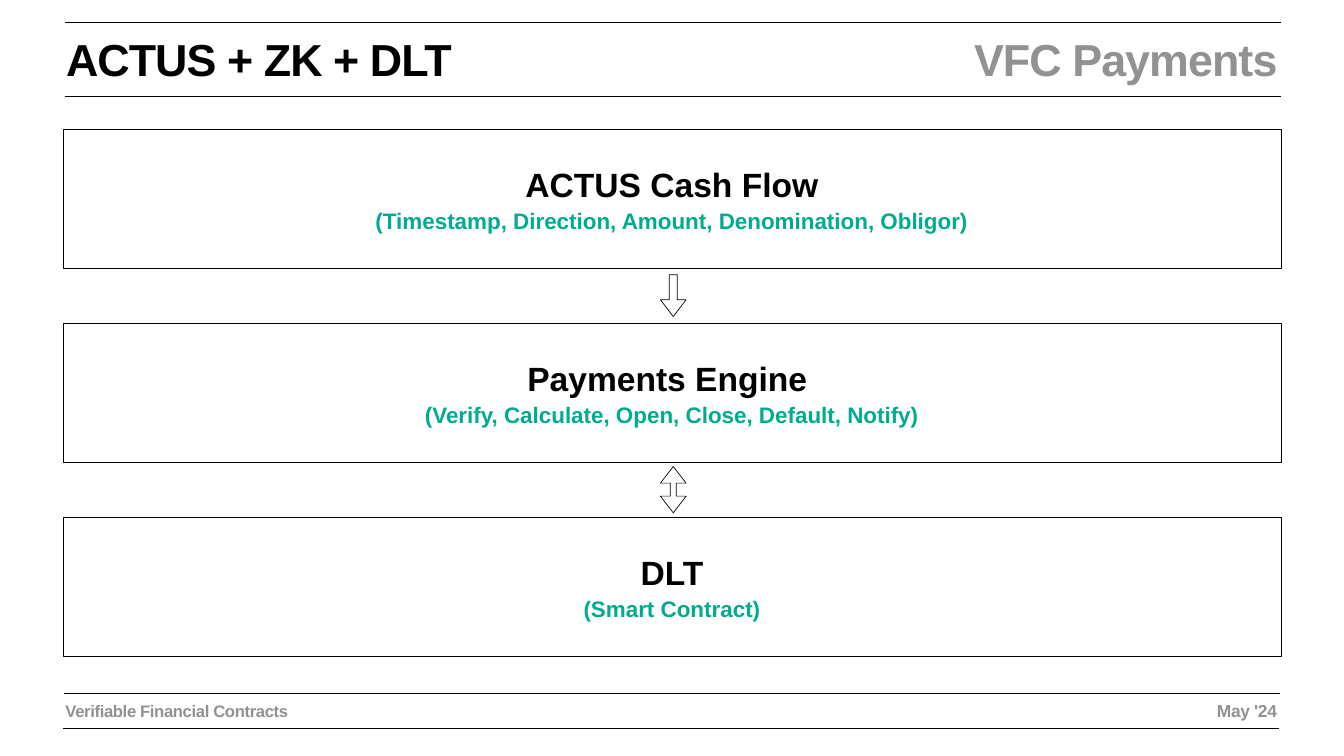
"""Build the VFC Payments slide: three stacked layers joined by arrows."""
from lxml.etree import SubElement
from pptx import Presentation
from pptx.dml.color import RGBColor
from pptx.enum.shapes import MSO_CONNECTOR as Connector, MSO_SHAPE as Shape
from pptx.enum.text import MSO_ANCHOR as Anchor, MSO_AUTO_SIZE as AutoSize, PP_ALIGN as Align
from pptx.oxml.ns import qn
from pptx.util import Emu, Pt

PX = 9144
SLIDE = (2667, 1500)
THEME = {
    "font": "Arial", "ink": "000000", "muted": "929292", "accent": "00AB8E", "paper": "FFFFFF",
    "title": 64, "layer": 48, "detail": 32, "footer": 23.8, "date": 24.8,
    "rule": 1, "gap": 4, "inset": 6, "title_spacing": -130, "footer_spacing": -50,
}

TITLE = ("ACTUS + ZK + DLT", (125, 57, 1104, 122), Align.LEFT, "title", "ink", "title_spacing")
LABELS = [
    ("VFC Payments", (874, 57, 1667, 122), Align.RIGHT, "title", "muted", "title_spacing"),
    ("Verifiable Financial Contracts", (124, 1384, 1104, 52), Align.LEFT, "footer", "muted", "footer_spacing"),
    ("May '24", (1367, 1384, 1173, 53), Align.RIGHT, "date", "muted", "footer_spacing"),
]
RULES = [(129, 45), (129, 192), (128, 1375), (126, 1446)]
RULE_LENGTH = 2413
LAYERS = [
    ("ACTUS Cash Flow", "(Timestamp, Direction, Amount, Denomination, Obligor)"),
    ("Payments Engine ", "(Verify, Calculate, Open, Close, Default, Notify)"),
    ("DLT", "(Smart Contract)"),
]
LAYER_LEFT, LAYER_TOP, LAYER_WIDTH, LAYER_HEIGHT, LAYER_PITCH = 125, 256, 2417, 276, 385
ARROWS = [
    (Shape.RIGHT_ARROW, 83, (0.31, 0.65)),
    (Shape.LEFT_RIGHT_ARROW, 92, (0.23, 0.65)),
]
ARROW_THICKNESS, ARROW_CENTRE = 51, 1336


def px(*lengths):
    return [Emu(round(length * PX)) for length in lengths]


def colour(role):
    return RGBColor.from_string(THEME[role])


def apply(target, formats):
    for name, value in formats.items():
        setattr(target, name, value)


def format_frame(frame, anchor):
    inset = px(THEME["inset"])[0]
    apply(frame, {
        "word_wrap": True, "auto_size": AutoSize.NONE, "vertical_anchor": anchor,
        "margin_left": inset, "margin_right": inset, "margin_top": inset, "margin_bottom": inset,
    })


def write(paragraph, wording, align, size, role, gap=0):
    apply(paragraph, {"alignment": align, "space_before": Pt(gap)})
    run = paragraph.add_run()
    run.text = wording
    apply(run.font, {"name": THEME["font"], "size": Pt(THEME[size]), "bold": True})
    run.font.color.rgb = colour(role)
    return run


def fill_label(label, wording, box, align, size, role, spacing):
    apply(label, dict(zip(("left", "top", "width", "height"), px(*box))))
    format_frame(label.text_frame, Anchor.TOP)
    run = write(label.text_frame.paragraphs[0], wording, align, size, role)
    run.font._element.set("spc", str(THEME[spacing]))


def add_outlined(slide, preset, box):
    outlined = slide.shapes.add_shape(preset, *px(*box))
    outlined.shadow.inherit = False
    outlined.fill.solid()
    outlined.fill.fore_color.rgb = colour("paper")
    outlined.line.color.rgb = colour("ink")
    outlined.line.width = Pt(THEME["rule"])
    return outlined


def add_rule(slide, left, top):
    rule = slide.shapes.add_connector(Connector.STRAIGHT, *px(left, top, left + RULE_LENGTH, top))
    rule.line.color.rgb = colour("ink")
    rule.line.width = Pt(THEME["rule"])
    SubElement(rule._element.spPr, qn("a:effectLst"))


def add_layer(slide, top, name, detail):
    layer = add_outlined(slide, Shape.RECTANGLE, (LAYER_LEFT, top, LAYER_WIDTH, LAYER_HEIGHT))
    frame = layer.text_frame
    format_frame(frame, Anchor.MIDDLE)
    write(frame.paragraphs[0], name, Align.CENTER, "layer", "ink", THEME["gap"])
    write(frame.add_paragraph(), detail, Align.CENTER, "detail", "accent", THEME["gap"])


def add_arrow(slide, middle, preset, length, adjustments):
    box = (ARROW_CENTRE - length / 2, middle - ARROW_THICKNESS / 2, length, ARROW_THICKNESS)
    arrow = add_outlined(slide, preset, box)
    arrow.rotation = 90
    for index, value in enumerate(adjustments):
        arrow.adjustments[index] = value


def main():
    deck = Presentation()
    deck.slide_width, deck.slide_height = px(*SLIDE)
    slide = deck.slides.add_slide(deck.slide_layouts[5])
    fill_label(slide.shapes.title, *TITLE)
    for label in LABELS:
        fill_label(slide.shapes.add_textbox(*px(*label[1])), *label)
    for rule in RULES:
        add_rule(slide, *rule)
    for index, layer in enumerate(LAYERS):
        add_layer(slide, LAYER_TOP + index * LAYER_PITCH, *layer)
    first_gap = LAYER_TOP + (LAYER_HEIGHT + LAYER_PITCH) / 2
    for index, arrow in enumerate(ARROWS):
        add_arrow(slide, first_gap + index * LAYER_PITCH, *arrow)
    deck.save("out.pptx")


if __name__ == "__main__":
    main()
